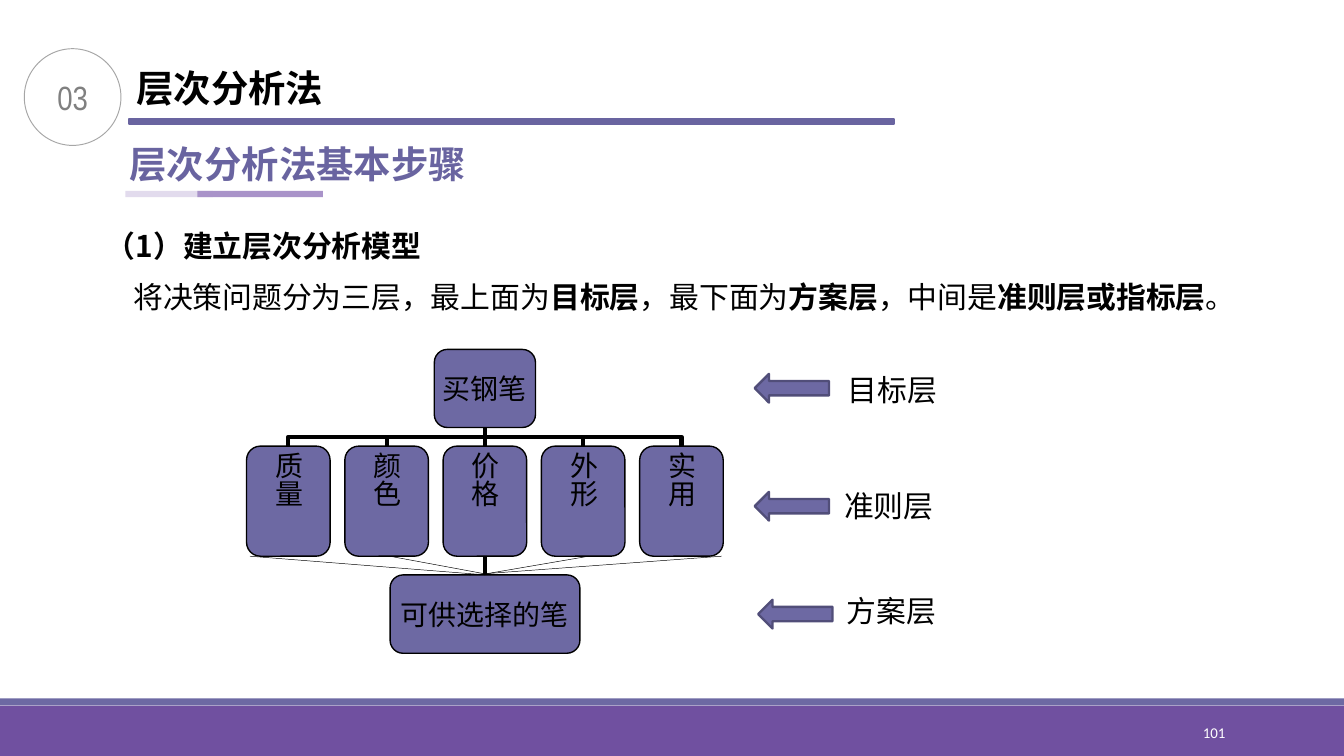
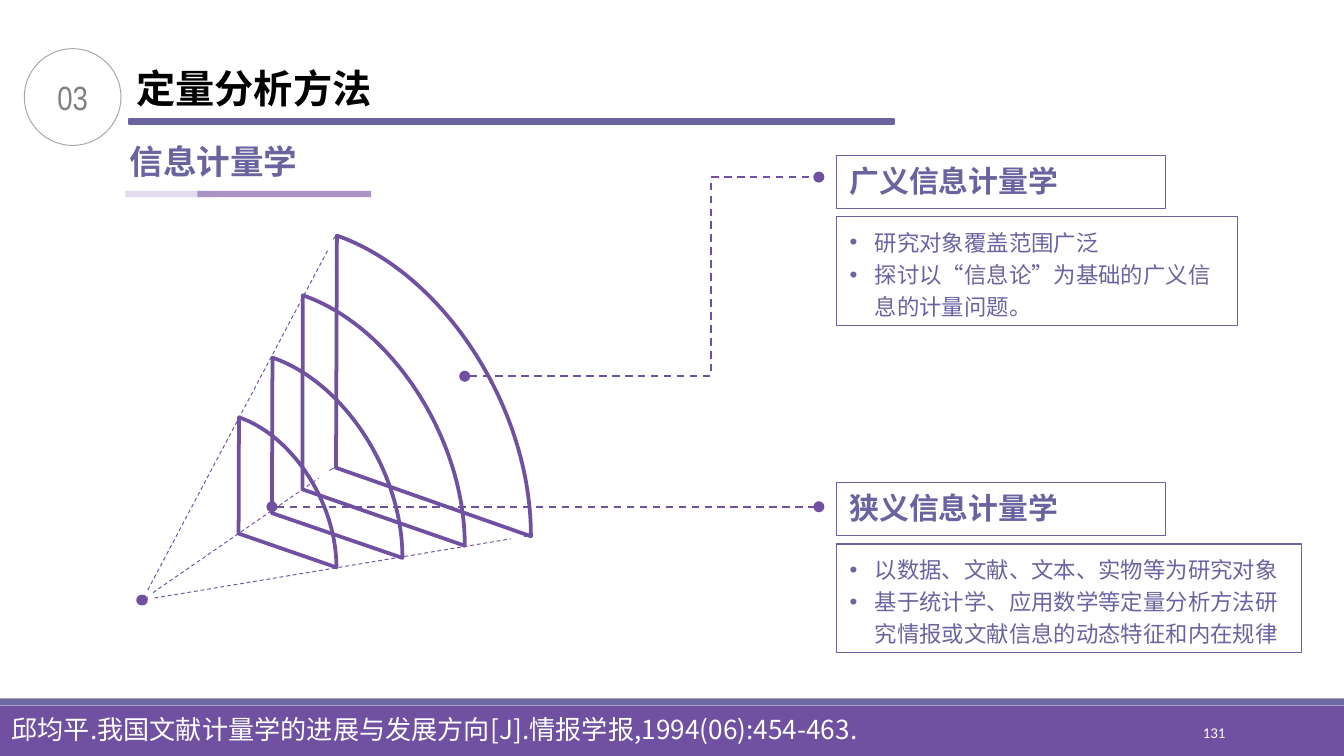
from lxml.etree import SubElement
from pptx import Presentation
from pptx.dml.color import RGBColor
from pptx.enum.dml import MSO_LINE
from pptx.enum.shapes import MSO_CONNECTOR, MSO_SHAPE
from pptx.enum.text import MSO_ANCHOR, MSO_AUTO_SIZE, PP_ALIGN
from pptx.oxml.ns import qn
from pptx.util import Pt

COLORS = {
    "band": "7050A0", "stripe": "6D69A3", "accent": "6964A0",
    "pale": "E2DBED", "lilac": "A993C9", "arrow_edge": "514E79",
    "ring": "A6A6A6", "number": "808080", "black": "000000", "white": "FFFFFF",
}
CJK = "Noto Sans CJK SC"
WIDE_INSET, NARROW_INSET = (7.2, 3.6), (5.4, 2.7)


def write(shape, text, size=16, color="black", bold=False, font=CJK, align=PP_ALIGN.LEFT,
          anchor=MSO_ANCHOR.TOP, inset=WIDE_INSET, wrap=True, spacing=None, bullet=None):
    """Fill a shape, one paragraph per line; words between asterisks are bold."""
    frame = shape.text_frame
    frame.auto_size = MSO_AUTO_SIZE.NONE
    frame.word_wrap = wrap
    frame.vertical_anchor = anchor
    frame.margin_left = frame.margin_right = Pt(inset[0])
    frame.margin_top = frame.margin_bottom = Pt(inset[1])
    for index, line in enumerate(text.split("\n")):
        paragraph = frame.add_paragraph() if index else frame.paragraphs[0]
        paragraph.alignment = align
        paragraph.space_before = Pt(0)
        if spacing:
            paragraph.line_spacing = spacing
        if bullet:
            properties = paragraph._p.get_or_add_pPr()
            properties.set("marL", str(Pt(13.5)))
            properties.set("indent", str(-Pt(13.5)))
            SubElement(properties, qn("a:buFont")).set("typeface", "Arial")
            SubElement(properties, qn("a:buChar")).set("char", bullet)
        for part, words in enumerate(line.split("*")):
            run = paragraph.add_run()
            run.text = words
            run.font.size = Pt(size)
            run.font.bold = bold or part % 2 == 1
            run.font.name = font
            run.font.color.rgb = RGBColor.from_string(COLORS[color])
            SubElement(run._r.get_or_add_rPr(), qn("a:ea")).set("typeface", font)


def style(shape, fill=None, line=None, width=0.75, dashed=False, dots=False):
    """Set fill and outline of a shape or connector and drop its shadow."""
    if fill:
        shape.fill.solid()
        shape.fill.fore_color.rgb = RGBColor.from_string(COLORS[fill])
    elif hasattr(shape, "fill"):
        shape.fill.background()
    if line:
        shape.line.color.rgb = RGBColor.from_string(COLORS[line])
        shape.line.width = Pt(width)
    else:
        shape.line.fill.background()
    if dashed:
        shape.line.dash_style = MSO_LINE.DASH
    if dots:
        for end in ("a:headEnd", "a:tailEnd"):
            SubElement(shape.line._get_or_add_ln(), qn(end)).set("type", "oval")
    SubElement(shape._element.spPr, qn("a:effectLst"))


prs = Presentation()
prs.slide_width, prs.slide_height = Pt(720), Pt(405)

# Shared frame: bands, page number, section ring, title, rule and subtitle
pages = [
    # layout, page, title, size, width, subtitle, size, width, underline width
    (5, "101", "层次分析法", 20, 112.3, "层次分析法基本步骤", 20, 197.3, 67.2),
    (4, "131", "定量分析方法", 21, 139, "信息计量学", 18, 530, 93),
]
slides = []
for (layout, page, title, title_size, title_width,
     subtitle, subtitle_size, subtitle_width, underline) in pages:
    slide = prs.slides.add_slide(prs.slide_layouts[layout])
    slides.append(slide)
    for x, y, w, h, fill, edge in [
        (0, 378, 720, 27, "band", None),
        (0, 374.2, 720, 3.8, "stripe", None),
        (69.2, 63.8, 409.7, 2.6, "accent", "accent"),
        (67.2, 102.3, 46.8, 3.4, "pale", None),
        (105.8, 102.3, underline, 3.4, "lilac", None),
    ]:
        bar = slide.shapes.add_shape(MSO_SHAPE.RECTANGLE, Pt(x), Pt(y), Pt(w), Pt(h))
        style(bar, fill=fill, line=edge, width=1.25)
    page_number = slide.shapes.add_textbox(Pt(584.6), Pt(381.8), Pt(77.4), Pt(21.6))
    write(page_number, page, size=8, color="white", font="Calibri", align=PP_ALIGN.RIGHT,
          anchor=MSO_ANCHOR.MIDDLE, inset=NARROW_INSET)
    ring = slide.shapes.add_shape(MSO_SHAPE.OVAL, Pt(13), Pt(26.1), Pt(51.8), Pt(51.8))
    style(ring, line="ring", width=0.5)
    write(ring, "03", size=18, color="number", font="Arial Narrow", align=PP_ALIGN.CENTER,
          anchor=MSO_ANCHOR.MIDDLE, inset=NARROW_INSET)
    heading = slide.shapes.title
    heading.left, heading.top = Pt(67.6), Pt(32)
    heading.width, heading.height = Pt(title_width), Pt(30)
    write(heading, title, size=title_size, bold=True, inset=NARROW_INSET, wrap=False)
    section = slide.shapes.add_textbox(Pt(62.3), Pt(72), Pt(subtitle_width), Pt(30))
    write(section, subtitle, size=subtitle_size, color="accent", bold=True, wrap=False)

hierarchy, informetrics = slides

# Slide 1: introduction
step = hierarchy.shapes.add_textbox(Pt(49.7), Pt(99.4), Pt(448.6), Pt(40.3))
write(step, "（1）建立层次分析模型", bold=True, spacing=2.0)
summary = hierarchy.shapes.add_textbox(Pt(64.4), Pt(145.8), Pt(597.6), Pt(26.6))
write(summary, "将决策问题分为三层，最上面为*目标层*，最下面为*方案层*，中间是*准则层或指标层*。")

# Slide 1: branches from the goal down to each criterion
GOAL_X, GOAL_BOTTOM = 259.8, 229
CRITERIA_TOP, CRITERIA_BOTTOM, PLAN_TOP = 239, 298, 308
CRITERION_WIDTH, CRITERION_STEP = 44.8, 52.65
half_gap = (CRITERIA_TOP - GOAL_BOTTOM) / 2
branch_y = GOAL_BOTTOM + half_gap
for offset in (2, 1, -1, -2):
    reach = offset * CRITERION_STEP
    side = half_gap if offset > 0 else -half_gap
    center, half_reach = GOAL_X + reach / 2, abs(reach) / 2
    branch = hierarchy.shapes.add_connector(
        MSO_CONNECTOR.ELBOW, Pt(center + side), Pt(branch_y - half_reach),
        Pt(center - side), Pt(branch_y + half_reach))
    degrees = 90 if offset > 0 else 270
    branch._element.spPr.find(qn("a:xfrm")).set("rot", str(degrees * 60000))
    style(branch, line="black", width=2.25)
for bottom, top in [(CRITERIA_TOP, GOAL_BOTTOM), (PLAN_TOP, CRITERIA_BOTTOM)]:
    stem = hierarchy.shapes.add_connector(
        MSO_CONNECTOR.STRAIGHT, Pt(GOAL_X), Pt(bottom), Pt(GOAL_X), Pt(top))
    style(stem, line="black", width=2.25)

# Slide 1: goal, criteria and plan boxes
first_left = GOAL_X - CRITERION_WIDTH / 2 - 2 * CRITERION_STEP
nodes = [("买钢笔", 232.7, 187.2, 54.2, 41.8, False)]
nodes += [
    (name, first_left + i * CRITERION_STEP, CRITERIA_TOP, CRITERION_WIDTH, 59, True)
    for i, name in enumerate(["质量", "颜色", "价格", "外形", "实用"])
]
nodes.append(("可供选择的笔", 209, PLAN_TOP, 101.7, 42, False))
for name, x, y, w, h, vertical in nodes:
    node = hierarchy.shapes.add_shape(
        MSO_SHAPE.ROUNDED_RECTANGLE, Pt(x), Pt(y), Pt(w), Pt(h))
    style(node, fill="stripe", line="black")
    write(node, name, size=15, align=PP_ALIGN.CENTER, anchor=MSO_ANCHOR.MIDDLE,
          inset=(1.4, 0.7) if vertical else (2.2, 1.4), wrap=False)
    if vertical:
        node.text_frame._txBody.bodyPr.set("vert", "eaVert")

# Slide 1: thin lines from the criteria to the plan
for start_x, end_x in [(208.8, 262.8), (133.9, 260), (386.6, 251.3), (315.4, 257)]:
    thread = hierarchy.shapes.add_connector(
        MSO_CONNECTOR.STRAIGHT, Pt(start_x), Pt(CRITERIA_BOTTOM), Pt(end_x), Pt(PLAN_TOP))
    style(thread, line="black", width=0.25)

# Slide 1: layer names with arrows
for name, x, y, w, inset, arrow_x, arrow_y in [
    ("目标层", 443.5, 195.8, 69, WIDE_INSET, 404.3, 200.3),
    ("准则层", 426.2, 258.7, 100, NARROW_INSET, 404.3, 263.5),
    ("方案层", 413.8, 314.8, 127.4, NARROW_INSET, 406.2, 321.3),
]:
    layer = hierarchy.shapes.add_textbox(Pt(x), Pt(y), Pt(w), Pt(26))
    write(layer, name, align=PP_ALIGN.CENTER, inset=inset)
    arrow = hierarchy.shapes.add_shape(
        MSO_SHAPE.LEFT_ARROW, Pt(arrow_x), Pt(arrow_y), Pt(39.8), Pt(15.4))
    style(arrow, fill="stripe", line="arrow_edge", width=1.25)

# Slide 2: rays from the focus, each a dashed line with two short solid ends
FOCUS = (76.1, 321.5)
rays = [
    [(79.2, 321), (82.8, 320.4), (273.6, 288.7), (280.8, 287.3), (284.4, 287.3)],
    [(77.8, 319), (79.2, 316), (175.7, 133.9), (178.6, 128.2), (180, 126)],
    [(79.2, 319.7), (82, 317.5), (170.6, 256.3), (176.4, 252), (179.3, 250.6)],
]
for near, dash_start, dash_end, far, tip in rays:
    for start, end, dashed in [
        (far, tip, False), (dash_start, dash_end, True), (FOCUS, near, False),
    ]:
        ray = informetrics.shapes.add_connector(
            MSO_CONNECTOR.STRAIGHT, *(Pt(value) for value in start + end))
        style(ray, line="band" if dashed else "accent", width=0.5, dashed=dashed)

# Slide 2: slanted quarter sectors, the arc drawn as one cubic curve
ARC_HANDLE = 0.55
for sector_points in [
    # right end, corner, top
    [(284.4, 287.3), (180, 250.6), (180.5, 126.2)],
    [(249, 292.4), (162, 262.2), (162.2, 158.2)],
    [(215.6, 298.9), (145.7, 274.9), (146, 191.6)],
    [(180.2, 304), (127.8, 285.9), (128, 223.6)],
]:
    right, corner, top = [(Pt(x), Pt(y)) for x, y in sector_points]
    outline = informetrics.shapes.build_freeform(*right)
    outline.add_line_segments([corner, top, right], close=False)
    sector = outline.convert_to_shape()
    arc_side = list(sector._element.iter(qn("a:lnTo")))[-1]
    arc_side.tag = qn("a:cubicBezTo")
    handles = [
        [t + ARC_HANDLE * (r - c) for t, r, c in zip(top, right, corner)],
        [r + ARC_HANDLE * (t - c) for t, r, c in zip(top, right, corner)],
    ]
    for position, (x, y) in enumerate(handles):
        handle = arc_side.makeelement(qn("a:pt"))
        handle.set("x", str(round(x - sector.left)))
        handle.set("y", str(round(y - sector.top)))
        arc_side.insert(position, handle)
    style(sector, line="band", width=2)
focus = informetrics.shapes.add_shape(
    MSO_SHAPE.OVAL, Pt(FOCUS[0] - 2.1), Pt(FOCUS[1] - 1.9), Pt(4.2), Pt(3.8))
style(focus, fill="band", line="band", width=2)

# Slide 2: dotted-end leaders to the two definitions
LEADER_END = 438.7
broad_leader = informetrics.shapes.add_connector(
    MSO_CONNECTOR.ELBOW, Pt(249), Pt(201.6), Pt(LEADER_END), Pt(94.9))
bend = SubElement(broad_leader._element.spPr.find(qn("a:prstGeom")).find(qn("a:avLst")),
                  qn("a:gd"))
bend.set("name", "adj1")
bend.set("fmla", "val 69600")
narrow_leader = informetrics.shapes.add_connector(
    MSO_CONNECTOR.STRAIGHT, Pt(145.7), Pt(271.5), Pt(LEADER_END), Pt(271.5))
for leader in (broad_leader, narrow_leader):
    style(leader, line="band", width=1, dashed=True, dots=True)

# Slide 2: definitions, each a heading box above a bulleted box
definitions = [
    ("广义信息计量学", 83.3, 214.9,
     "研究对象覆盖范围广泛\n探讨以“信息论”为基础的广义信息的计量问题。"),
    ("狭义信息计量学", 258.6, 249.4,
     "以数据、文献、文本、实物等为研究对象\n"
     "基于统计学、应用数学等定量分析方法研究情报或文献信息的动态特征和内在规律"),
]
for i, (term, y, points_width, points) in enumerate(definitions):
    term_box = informetrics.placeholders[2 * i + 1]
    points_box = informetrics.placeholders[2 * i + 2]
    for box, top, w, h in [(term_box, y, 176.4, 28.3), (points_box, y + 32.8, points_width, 58.3)]:
        box.left, box.top, box.width, box.height = Pt(448), Pt(top), Pt(w), Pt(h)
        style(box, line="accent")
    write(term_box, term, color="accent", bold=True)
    write(points_box, points, size=12, color="accent", spacing=1.2, bullet="•")

# Slide 2: citation on the bottom band
citation = informetrics.shapes.add_textbox(Pt(-0.9), Pt(378.7), Pt(565), Pt(24.5))
write(citation, "邱均平.我国文献计量学的进展与发展方向[J].情报学报,1994(06):454-463.",
      size=14, color="white")

prs.save("out.pptx")
